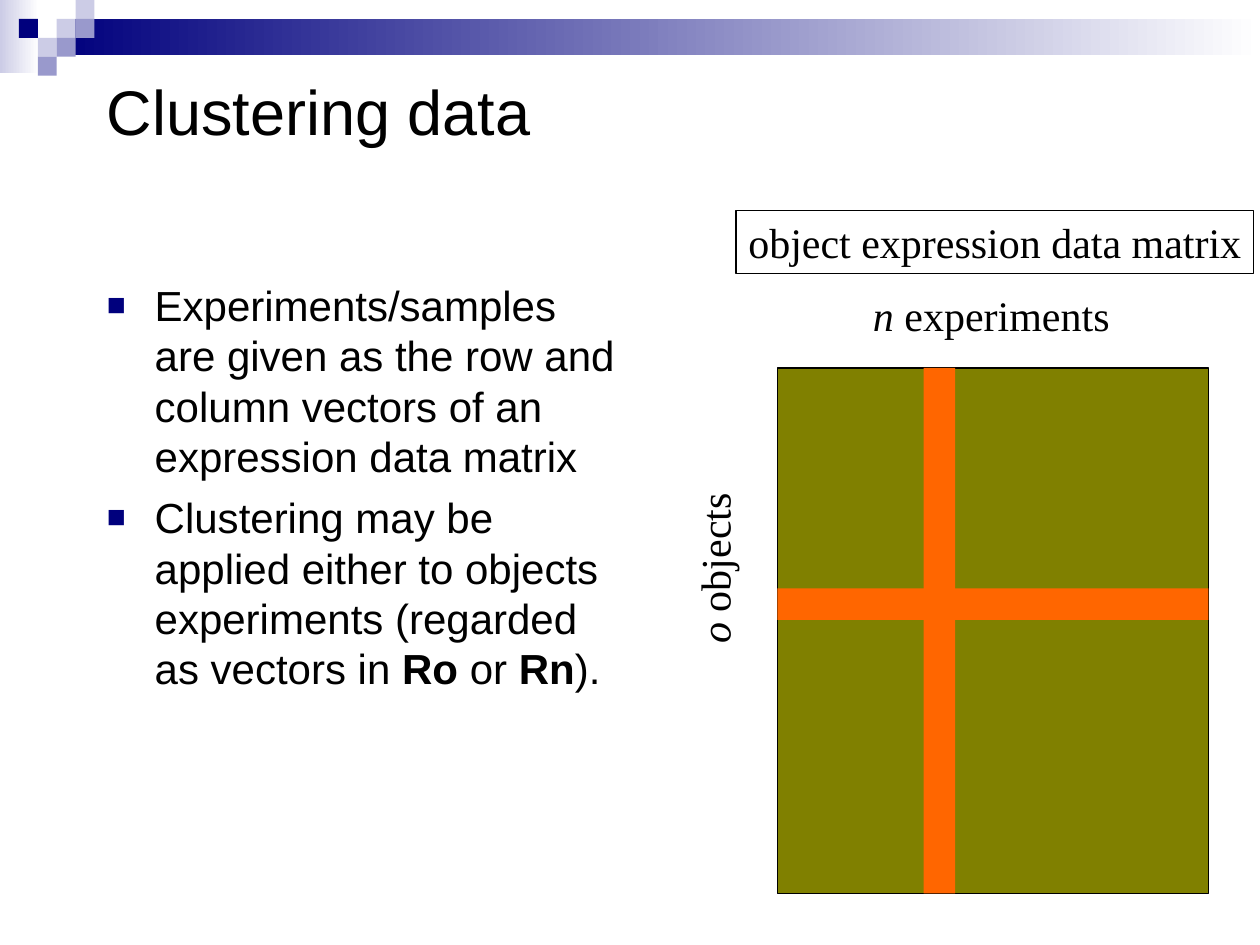
"""Build the slide that introduces clustering of an expression data matrix."""
from dataclasses import dataclass

import lxml.etree
import pptx
import pptx.dml.color
import pptx.enum.shapes
import pptx.enum.text
import pptx.oxml.ns
import pptx.util

Inches = pptx.util.Inches
RGBColor = pptx.dml.color.RGBColor
Anchor = pptx.enum.text.MSO_ANCHOR

WHITE = RGBColor(0xFF, 0xFF, 0xFF)
BLACK = RGBColor(0, 0, 0)
NAVY = RGBColor(0x00, 0x00, 0x7D)
PERIWINKLE = RGBColor(0x99, 0x99, 0xCC)
LAVENDER = RGBColor(0xCC, 0xCC, 0xE6)
OLIVE = RGBColor(0x80, 0x80, 0x00)
ORANGE = RGBColor(0xFF, 0x66, 0x00)
TILE = 0.15


@dataclass(frozen=True)
class Box:
    left: float
    top: float
    width: float
    height: float

    def lengths(self) -> list:
        return [Inches(v) for v in (self.left, self.top, self.width, self.height)]


@dataclass(frozen=True)
class Tile:
    column: int
    row: int
    color: RGBColor


@dataclass(frozen=True)
class Piece:
    text: str
    bold: bool = False
    italic: bool = False


@dataclass(frozen=True)
class Label:
    box: Box
    pieces: tuple
    rotation: int = 0
    outlined: bool = False


TILES = [
    Tile(3, 1, LAVENDER), Tile(4, 0, LAVENDER), Tile(4, 1, PERIWINKLE),
    Tile(2, 2, LAVENDER), Tile(1, 1, NAVY), Tile(3, 2, PERIWINKLE),
    Tile(2, 3, PERIWINKLE),
]
FADES = [(Box(0, 0, 0.31, 0.58), LAVENDER), (Box(0.45, 0.15, 9.55, 0.29), NAVY)]
MATRIX = Box(6.17, 2.92, 3.42, 4.17)
BANDS = [
    Box(7.33, MATRIX.top, 0.25, MATRIX.height),
    Box(MATRIX.left, 4.67, MATRIX.width, 0.25),
]
LABELS = [
    Label(Box(6.83, 2.25, 2.08, 0.5), (Piece("n", italic=True), Piece(" experiments"))),
    Label(Box(4.97, 4.26, 1.39, 0.5), (Piece("o", italic=True), Piece(" objects")), rotation=270),
    Label(Box(5.84, 1.67, 4.11, 0.5), (Piece("object expression data matrix"),), outlined=True),
]
POINTS = [
    (Piece("Experiments/samples are given as the row and column vectors "
           "of an expression data matrix"),),
    (Piece("Clustering may be applied either to objects experiments "
           "(regarded as vectors in "),
     Piece("Ro", bold=True), Piece(" or "), Piece("Rn", bold=True), Piece(").")),
]


def add_block(slide, box: Box, color: RGBColor):
    """Draw a plain filled rectangle without outline."""
    block = slide.shapes.add_shape(pptx.enum.shapes.MSO_SHAPE.RECTANGLE, *box.lengths())
    block.shadow.inherit = False
    block.fill.solid()
    block.fill.fore_color.rgb = color
    block.line.fill.background()
    return block


def add_fade(slide, box: Box, color: RGBColor) -> None:
    """Draw a rectangle that fades from a colour to white, left to right."""
    fill = add_block(slide, box, color).fill
    fill.gradient()
    fill.gradient_angle = 0
    for stop, shade in zip(fill.gradient_stops, (color, WHITE)):
        stop.color.rgb = shade


def add_outline(shape) -> None:
    """Give a shape a thin black line."""
    shape.line.color.rgb = BLACK
    shape.line.width = pptx.util.Pt(0.75)


def add_text_box(slide, box: Box, **frame_format):
    """Add a wrapping text box and apply the given text frame settings."""
    holder = slide.shapes.add_textbox(*box.lengths())
    for name, value in {"word_wrap": True, **frame_format}.items():
        setattr(holder.text_frame, name, value)
    return holder


def write(paragraph, pieces: tuple, face: str, size: int) -> None:
    """Write pieces of text as runs of one paragraph."""
    for piece in pieces:
        run = paragraph.add_run()
        run.text = piece.text
        run.font.color.rgb = BLACK
        run_format = {"name": face, "size": pptx.util.Pt(size),
                      "bold": piece.bold, "italic": piece.italic}
        for name, value in run_format.items():
            setattr(run.font, name, value)


def add_bullet(paragraph) -> None:
    """Give a paragraph a hanging navy square bullet."""
    properties = paragraph._p.get_or_add_pPr()
    properties.set("marL", str(Inches(0.38)))
    properties.set("indent", str(-Inches(0.38)))
    qn = pptx.oxml.ns.qn
    color = lxml.etree.SubElement(properties, qn("a:buClr"))
    lxml.etree.SubElement(color, qn("a:srgbClr"), val=str(NAVY))
    lxml.etree.SubElement(properties, qn("a:buSzPct"), val="75000")
    lxml.etree.SubElement(properties, qn("a:buFont"), typeface="Arial")
    lxml.etree.SubElement(properties, qn("a:buChar"), char="■")


def add_points(slide, box: Box, points: list) -> None:
    """Add the bulleted list."""
    frame = add_text_box(slide, box).text_frame
    for index, pieces in enumerate(points):
        paragraph = frame.add_paragraph() if index else frame.paragraphs[0]
        add_bullet(paragraph)
        if index:
            paragraph.space_before = pptx.util.Pt(6)
        write(paragraph, pieces, "Arial", 24)


def add_label(slide, label: Label) -> None:
    """Add a one-line label of the matrix, with spare room at its right end."""
    holder = add_text_box(slide, label.box, margin_right=0,
                          auto_size=pptx.enum.text.MSO_AUTO_SIZE.NONE)
    holder.rotation = label.rotation
    if label.outlined:
        add_outline(holder)
    write(holder.text_frame.paragraphs[0], label.pieces, "Times New Roman", 24)


def main() -> None:
    """Build and save the slide."""
    deck = pptx.Presentation()
    deck.slide_width, deck.slide_height = Inches(10), Inches(7.5)
    slide = deck.slides.add_slide(deck.slide_layouts[6])

    for box, color in FADES:
        add_fade(slide, box, color)
    for tile in TILES:
        add_block(slide, Box(tile.column * TILE, tile.row * TILE, TILE, TILE), tile.color)

    title = add_text_box(slide, Box(0.75, 0.25, 8.5, 1.25), vertical_anchor=Anchor.MIDDLE)
    write(title.text_frame.paragraphs[0], (Piece("Clustering data"),), "Arial", 36)
    add_points(slide, Box(0.75, 2.17, 4.33, 4.5), POINTS)

    add_outline(add_block(slide, MATRIX, OLIVE))
    for band in BANDS:
        add_block(slide, band, ORANGE)
    for label in LABELS:
        add_label(slide, label)

    deck.save("out.pptx")


if __name__ == "__main__":
    main()
